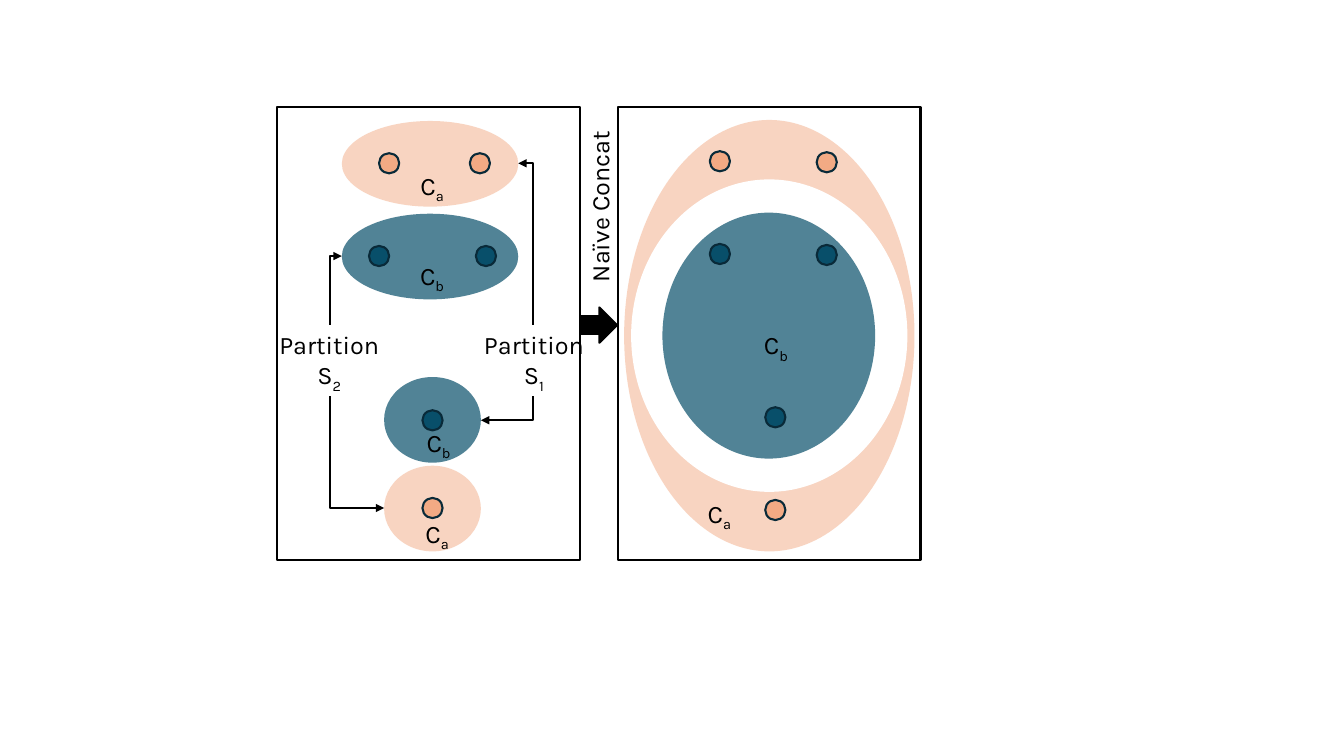
from dataclasses import dataclass

from pptx import Presentation
from pptx import util as u
from pptx.dml.color import RGBColor
from pptx.enum import shapes, text
from pptx.oxml.ns import qn

PX = 9144
FONT = "Karla"
DOT = 20
COLORS = {
    "peach": "F2AA84",
    "teal": "084F6A",
    "outline": "092A39",
    "black": "000000",
    "white": "FFFFFF",
}
OPACITY = {"peach": 50, "teal": 70, "white": 100}
SHAPE = shapes.MSO_SHAPE


@dataclass
class Box:
    x: int
    y: int
    w: int
    h: int


@dataclass
class Cluster:
    box: Box
    color: str


@dataclass
class Dot:
    x: int
    y: int
    color: str


@dataclass
class Label:
    box: Box
    base: str
    sub: str = ""
    rotation: int = 0


@dataclass
class Elbow:
    tip_x: int
    tip_y: int
    label_x: int
    label_y: int


CLUSTERS = [
    Cluster(Box(381, 462, 96, 85), "peach"),
    Cluster(Box(381, 374, 96, 85), "teal"),
    Cluster(Box(339, 212, 175, 85), "teal"),
    Cluster(Box(339, 120, 175, 85), "peach"),
    Cluster(Box(619, 119, 288, 428), "peach"),
    Cluster(Box(626, 178, 274, 310), "white"),
    Cluster(Box(657, 211, 211, 244), "teal"),
]
DOTS = [
    Dot(376, 152, "peach"),
    Dot(466, 152, "peach"),
    Dot(366, 244, "teal"),
    Dot(472, 244, "teal"),
    Dot(419, 407, "teal"),
    Dot(419, 494, "peach"),
    Dot(704, 150, "peach"),
    Dot(810, 151, "peach"),
    Dot(704, 242, "teal"),
    Dot(810, 243, "teal"),
    Dot(759, 404, "teal"),
    Dot(759, 496, "peach"),
]
LABELS = [
    Label(Box(267, 322, 119, 71), "Partition S", "2"),
    Label(Box(470, 322, 119, 71), "Partition S", "1"),
    Label(Box(339, 164, 179, 40), "C", "a"),
    Label(Box(339, 253, 179, 40), "C", "b"),
    Label(Box(360, 419, 150, 40), "C", "b"),
    Label(Box(344, 509, 179, 40), "C", "a"),
    Label(Box(680, 322, 179, 40), "C", "b"),
    Label(Box(624, 489, 179, 40), "C", "a"),
    Label(Box(495, 185, 199, 40), "Naïve Concat", rotation=270),
]
ELBOWS = [
    Elbow(514, 162, 529, 322),
    Elbow(477, 417, 529, 393),
    Elbow(381, 504, 327, 393),
    Elbow(339, 254, 327, 322),
]
PANELS = [Box(x, 106, 300, 450) for x in (275, 613)]
ARROW = Box(576, 305, 36, 35)


def rgb(name: str) -> RGBColor:
    return RGBColor.from_string(COLORS[name])


def emu(box: Box) -> list[int]:
    return [v * PX for v in (box.x, box.y, box.w, box.h)]


def draw_shape(s, kind, box: Box, fill: str = "", line: str = "", opacity: int = 100) -> None:
    sp = s.shapes.add_shape(kind, *emu(box))
    sp.shadow.inherit = False
    if fill:
        sp.fill.solid()
        sp.fill.fore_color.rgb = rgb(fill)
    else:
        sp.fill.background()
    if opacity < 100:
        color = sp._element.spPr.find(qn("a:solidFill"))[0]
        color.makeelement(qn("a:alpha"), {})
        alpha = color.makeelement(qn("a:alpha"), {"val": str(opacity * 1000)})
        color.append(alpha)
    if line:
        sp.line.color.rgb = rgb(line)
        sp.line.width = u.Pt(1.5)
    else:
        sp.line.fill.background()


def draw_label(s, label: Label) -> None:
    sp = s.shapes.add_textbox(*emu(label.box))
    sp.rotation = label.rotation
    tf = sp.text_frame
    tf.word_wrap = True
    tf.auto_size = text.MSO_AUTO_SIZE.SHAPE_TO_FIT_TEXT
    p = tf.paragraphs[0]
    p.text = label.base
    p.alignment = text.PP_ALIGN.CENTER
    if label.sub:
        r = p.add_run()
        r.text = label.sub
        r.font._element.set("baseline", "-25000")
    for r in p.runs:
        r.font.name = FONT
        r.font.size = u.Pt(18)
        r.font.color.rgb = rgb("black")


def draw_elbow(s, elbow: Elbow) -> None:
    ends = (elbow.tip_x, elbow.tip_y, elbow.label_x, elbow.label_y)
    sp = s.shapes.add_connector(shapes.MSO_CONNECTOR.ELBOW, *[v * PX for v in ends])
    sp.line.color.rgb = rgb("black")
    sp.line.width = u.Pt(1.5)
    props = sp._element.spPr
    props.find(qn("a:prstGeom")).set("prst", "bentConnector2")
    ln = props.find(qn("a:ln"))
    ln.append(ln.makeelement(qn("a:headEnd"), {"type": "triangle"}))
    props.append(props.makeelement(qn("a:effectLst"), {}))


def main() -> None:
    prs = Presentation()
    prs.slide_width, prs.slide_height = 1333 * PX, 750 * PX
    s = prs.slides.add_slide(prs.slide_layouts[6])
    for c in CLUSTERS:
        draw_shape(s, SHAPE.OVAL, c.box, c.color, opacity=OPACITY[c.color])
    for label in LABELS:
        draw_label(s, label)
    for elbow in ELBOWS:
        draw_elbow(s, elbow)
    for d in DOTS:
        draw_shape(s, SHAPE.OVAL, Box(d.x, d.y, DOT, DOT), d.color, "outline")
    for panel in PANELS:
        draw_shape(s, SHAPE.RECTANGLE, panel, line="black")
    draw_shape(s, SHAPE.RIGHT_ARROW, ARROW, "black", "black")
    prs.save("out.pptx")


if __name__ == "__main__":
    main()
